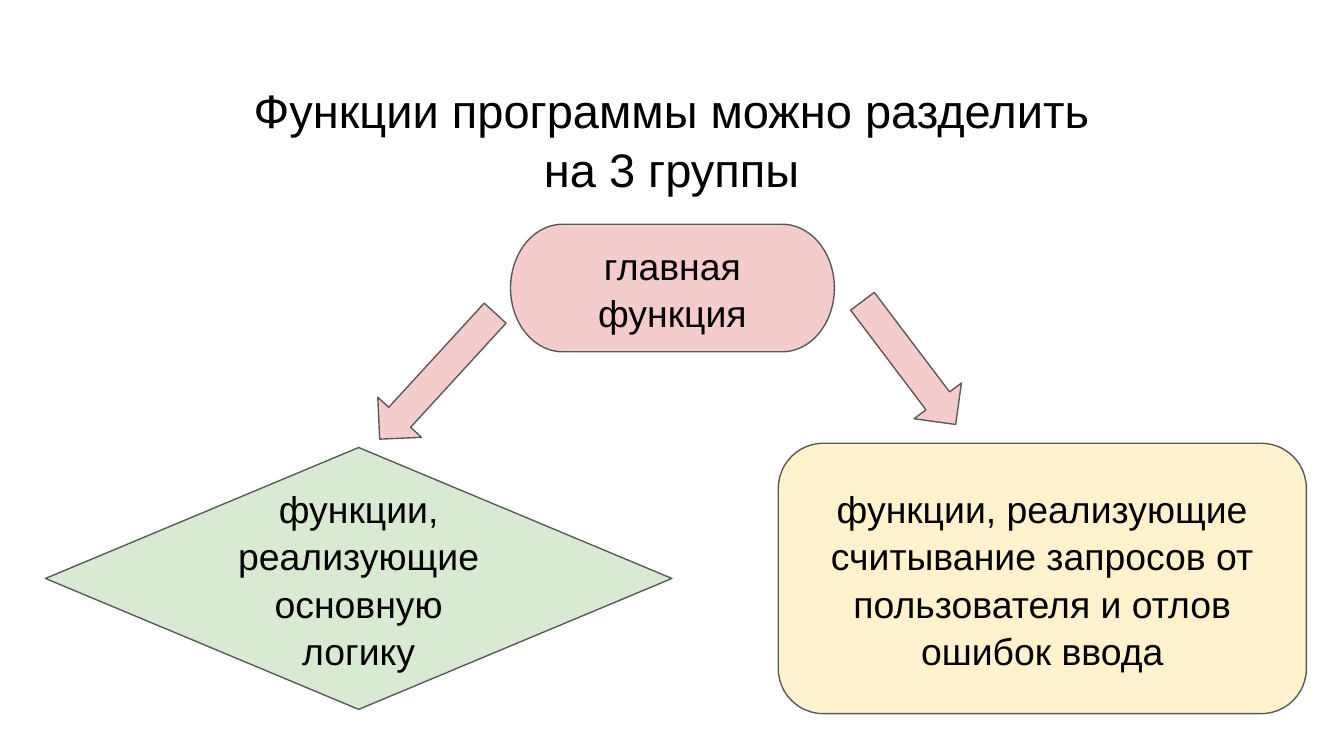
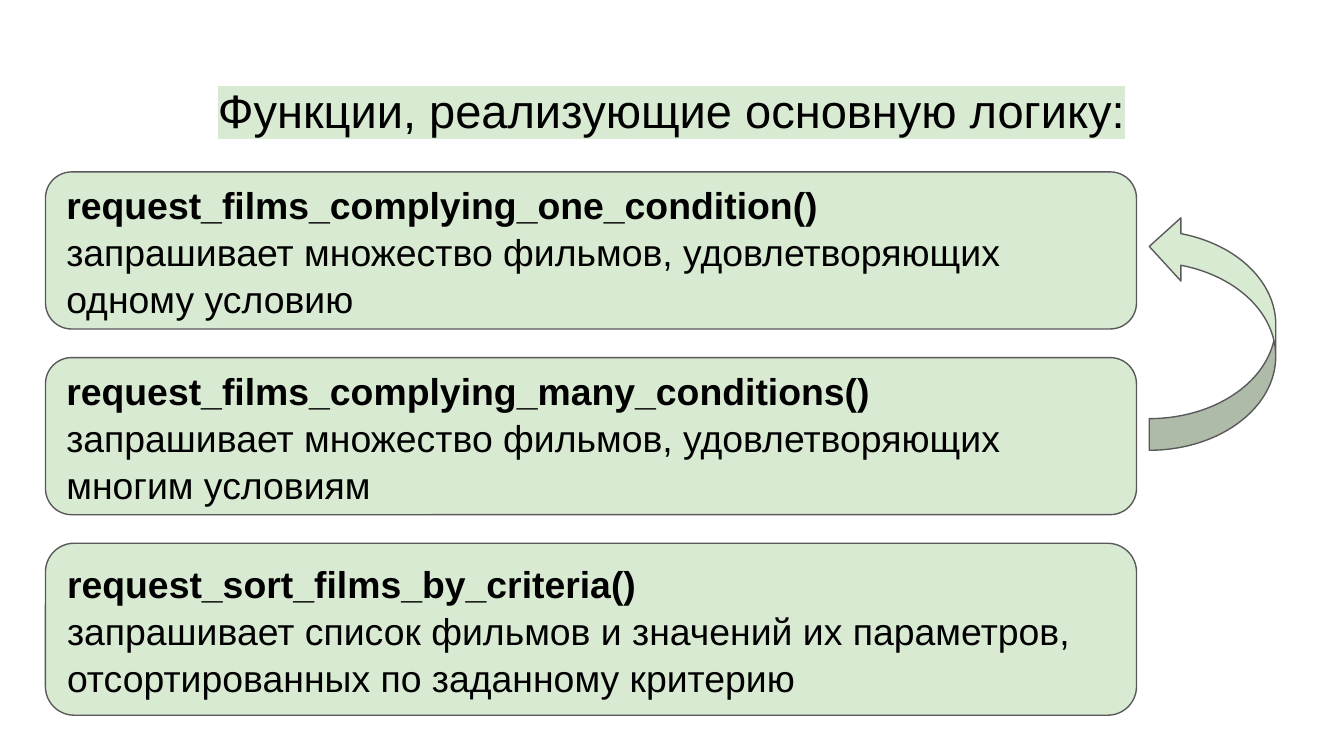
from lxml import etree
from pptx import Presentation
from pptx.dml.color import RGBColor
from pptx.enum.shapes import MSO_SHAPE as Preset
from pptx.enum.text import MSO_ANCHOR as Anchor, MSO_AUTO_SIZE as AutoSize, PP_ALIGN as Align
from pptx.oxml.ns import qn
from pptx.util import Cm, Pt

BLACK = RGBColor(0x00, 0x00, 0x00)
OUTLINE = RGBColor(0x59, 0x59, 0x59)
PINK = RGBColor(0xF4, 0xCC, 0xCC)
GREEN = RGBColor(0xD9, 0xEA, 0xD3)
YELLOW = RGBColor(0xFF, 0xF2, 0xCC)

FONT = "Arial"
TITLE_SIZE = 25.2
TEXT_SIZE = 20
LINE_SPACING = 1.05
MARGIN = 0.86
INSET = Cm(0.25)
CARD_WIDTH = 20.62
CARD_GAP = 0.54

CARDS = [
    (2.97, "request_films_complying_one_condition()",
     "запрашивает множество фильмов, удовлетворяющих одному условию"),
    (2.97, "request_films_complying_many_conditions()",
     "запрашивает множество фильмов, удовлетворяющих многим условиям"),
    (3.25, "request_sort_films_by_criteria()",
     "запрашивает список фильмов и значений их параметров, "
     "отсортированных по заданному критерию"),
]


def write_text(shape, lines, size, align, anchor, bold_first=False):
    frame = shape.text_frame
    frame.word_wrap = True
    frame.auto_size = AutoSize.NONE
    frame.vertical_anchor = anchor
    frame.margin_left = frame.margin_right = INSET
    frame.margin_top = frame.margin_bottom = INSET
    frame.text = "\n".join(lines)
    for index, para in enumerate(frame.paragraphs):
        para.alignment = align
        para.line_spacing = LINE_SPACING
        para.space_before = Pt(0)
        para.font.name = FONT
        para.font.size = Pt(size)
        para.font.bold = bold_first and index == 0
        para.font.color.rgb = BLACK


def highlight(span, color):
    properties = span.font.fill._xPr
    mark = etree.SubElement(properties, qn("a:highlight"))
    etree.SubElement(mark, qn("a:srgbClr"), val=str(color))


def add_page(deck, title_lines, title_height, title_mark=None):
    page = deck.slides.add_slide(deck.slide_layouts[5])
    title = page.shapes.title
    title.left, title.top = Cm(MARGIN), Cm(1.24)
    title.width, title.height = Cm(23.67), Cm(title_height)
    write_text(title, title_lines, TITLE_SIZE, Align.CENTER, Anchor.TOP)
    if title_mark is not None:
        for para in title.text_frame.paragraphs:
            for span in para.runs:
                highlight(span, title_mark)
    return page


def add_figure(page, preset, left, top, width, height, color, rotation=0):
    figure = page.shapes.add_shape(preset, Cm(left), Cm(top), Cm(width), Cm(height))
    figure.shadow.inherit = False
    figure.fill.solid()
    figure.fill.fore_color.rgb = color
    figure.line.color.rgb = OUTLINE
    figure.line.width = Pt(0.75)
    figure.rotation = rotation
    return figure


def add_node(page, preset, left, top, width, height, color, text):
    node = add_figure(page, preset, left, top, width, height, color)
    write_text(node, [text], TEXT_SIZE, Align.CENTER, Anchor.MIDDLE)


def add_cards(page, top):
    for height, name, purpose in CARDS:
        card = add_figure(page, Preset.ROUNDED_RECTANGLE, MARGIN, top,
                          CARD_WIDTH, height, GREEN)
        write_text(card, [name, purpose], TEXT_SIZE, Align.LEFT, Anchor.MIDDLE,
                   bold_first=True)
        top += height + CARD_GAP


def build_groups(deck):
    page = add_page(deck, ["Функции программы можно разделить", "на 3 группы"], 2.67)
    add_node(page, Preset.ROUNDED_RECTANGLE, 14.71, 8.38, 9.98, 5.11, YELLOW,
             "функции, реализующие считывание запросов от пользователя "
             "и отлов ошибок ввода")
    add_node(page, Preset.FLOWCHART_DECISION, MARGIN, 8.46, 11.84, 4.95, GREEN,
             "функции, реализующие основную логику")
    add_node(page, Preset.FLOWCHART_TERMINATOR, 9.65, 4.24, 6.12, 2.41, PINK,
             "главная функция")
    add_figure(page, Preset.RIGHT_ARROW, 15.72, 6.3, 2.92, 1.12, PINK, 52.9)
    add_figure(page, Preset.RIGHT_ARROW, 6.65, 6.55, 3.23, 1.12, PINK, 132.5)


def build_logic(deck):
    page = add_page(deck, ["Функции, реализующие основную логику:"], 1.6, GREEN)
    add_cards(page, 3.25)
    add_figure(page, Preset.CURVED_RIGHT_ARROW, 21.72, 4.06, 2.39, 4.45, GREEN, 180)


def main():
    deck = Presentation()
    deck.slide_width, deck.slide_height = Cm(25.4), Cm(14.29)
    build_groups(deck)
    build_logic(deck)
    deck.save("out.pptx")


if __name__ == "__main__":
    main()
